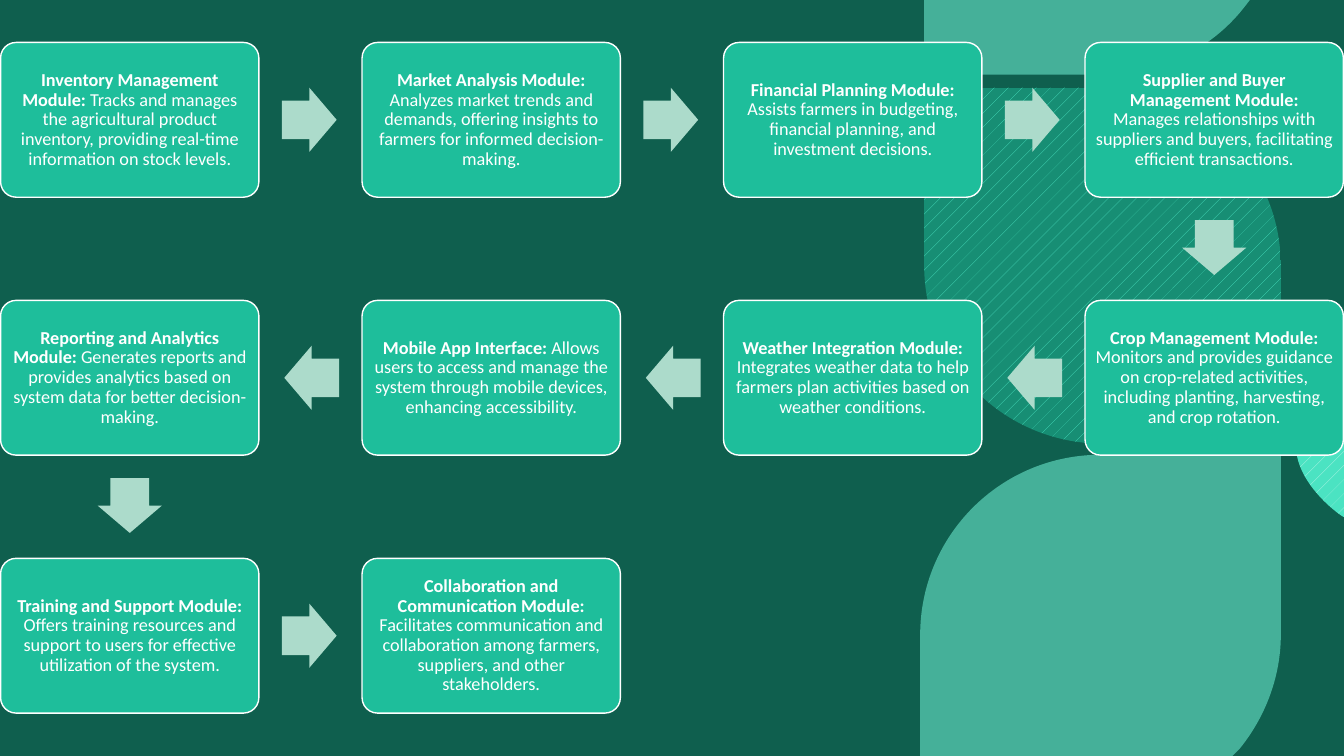
from lxml.etree import SubElement
from pptx import Presentation
from pptx.dml.color import RGBColor
from pptx.enum.dml import MSO_PATTERN
from pptx.enum.shapes import MSO_SHAPE
from pptx.enum.text import MSO_ANCHOR, PP_ALIGN
from pptx.oxml.ns import qn
from pptx.util import Cm, Pt

DARK = RGBColor(0x09, 0x39, 0x2F)
TEAL = RGBColor(0x18, 0x99, 0x7E)
MINT = RGBColor(0x69, 0xE7, 0xCC)
PALE = RGBColor(0xC3, 0xF6, 0xEB)
BRIGHT = RGBColor(0x4B, 0xE3, 0xC2)
DEEP = RGBColor(0x17, 0x8E, 0x74)
BOX = RGBColor(0x1E, 0xBE, 0x9B)
ARROW = RGBColor(0xAC, 0xDB, 0xCB)
WHITE = RGBColor(0xFF, 0xFF, 0xFF)


def add_text(p, text, size=13, bold=False, color=WHITE, font="Calibri"):
    r = p.add_run()
    r.text = text
    r.font.size = Pt(size)
    r.font.bold = bold
    r.font.name = font
    r.font.color.rgb = color


def paint(sp, color, opacity=100):
    sp.shadow.inherit = False
    sp.line.fill.background()
    sp.fill.solid()
    sp.fill.fore_color.rgb = color
    if opacity < 100:
        clr = sp.element.spPr.xpath("./a:solidFill/a:srgbClr")[0]
        SubElement(clr, qn("a:alpha")).set("val", str(opacity * 1000))


prs = Presentation()
prs.slide_width, prs.slide_height = Cm(33.87), Cm(19.05)
s = prs.slides.add_slide(prs.slide_layouts[6])

# Background with a translucent tint
s.background.fill.solid()
s.background.fill.fore_color.rgb = DARK
tint = s.shapes.add_shape(MSO_SHAPE.RECTANGLE, 0, 0, prs.slide_width, prs.slide_height)
paint(tint, TEAL, 40)

# Leaves: two numbers are a corner, six are a Bezier curve (cm)
leaves = [
    ([(23.29, 0), (31.5, 0), (31.32, 0.23),
      (30.51, 1.24, 29.24, 1.88, 27.81, 1.88), (23.29, 1.88)], None),
    ([(27.74, 11.46), (32.28, 11.46), (32.28, 15.98),
      (32.28, 17.07, 31.88, 18.08, 31.24, 18.87), (31.06, 19.05),
      (23.19, 19.05), (23.19, 16), (23.19, 13.49, 25.22, 11.46, 27.74, 11.46)], None),
    ([(33.87, 9.4), (33.87, 13.03), (33.87, 13.06, 32.66, 12.24, 32.66, 11.23),
      (32.66, 10.21, 33.87, 9.4, 33.87, 9.4)], (PALE, BRIGHT)),
    ([(32.28, 11.18), (27.79, 11.18), (25.3, 11.18, 23.29, 9.17, 23.29, 6.68),
      (23.29, 2.21), (27.79, 2.21), (30.25, 2.21, 32.28, 4.22, 32.28, 6.71)],
     (BRIGHT, DEEP)),
]
for outline, pattern in leaves:
    ends = [(Cm(seg[-2]), Cm(seg[-1])) for seg in outline]
    fb = s.shapes.build_freeform(*ends[0])
    fb.add_line_segments(ends[1:], close=True)
    leaf = fb.convert_to_shape()
    # Turn the straight segments of the curves into Bezier segments
    lines = leaf.element.spPr.xpath(".//a:lnTo")
    for line, seg in zip(lines, outline[1:]):
        if len(seg) == 6:
            line.clear()
            line.tag = qn("a:cubicBezTo")
            for x, y in zip(seg[::2], seg[1::2]):
                pt = SubElement(line, qn("a:pt"))
                pt.set("x", str(Cm(x) - leaf.left))
                pt.set("y", str(Cm(y) - leaf.top))
    paint(leaf, MINT, 60)
    if pattern:
        leaf.fill.patterned()
        leaf.fill.pattern = MSO_PATTERN.PERCENT_5
        leaf.fill.fore_color.rgb, leaf.fill.back_color.rgb = pattern

# Modules in reading order of the flow
modules = [
    ("Inventory Management Module:", "Tracks and manages the agricultural product inventory, "
     "providing real-time information on stock levels."),
    ("Market Analysis Module:", "Analyzes market trends and demands, offering insights to "
     "farmers for informed decision-making."),
    ("Financial Planning Module:", "Assists farmers in budgeting, financial planning, and "
     "investment decisions."),
    ("Supplier and Buyer Management Module:", "Manages relationships with suppliers and "
     "buyers, facilitating efficient transactions."),
    ("Crop Management Module:", "Monitors and provides guidance on crop-related activities, "
     "including planting, harvesting, and crop rotation."),
    ("Weather Integration Module:", "Integrates weather data to help farmers plan activities "
     "based on weather conditions."),
    ("Mobile App Interface:", "Allows users to access and manage the system through mobile "
     "devices, enhancing accessibility."),
    ("Reporting and Analytics Module:", "Generates reports and provides analytics based on "
     "system data for better decision-making."),
    ("Training and Support Module:", "Offers training resources and support to users for "
     "effective utilization of the system."),
    ("Collaboration and Communication Module:", "Facilitates communication and collaboration "
     "among farmers, suppliers, and other stakeholders."),
]
COLS = 4
BOX_W, BOX_H = 6.51, 3.9
ARROW_W, ARROW_H = 1.38, 1.62

# Box centres snake to and fro over the grid
centres = []
for i in range(len(modules)):
    row, col = divmod(i, COLS)
    if row % 2:
        col = COLS - 1 - col
    centres.append((3.27 + col * 9.11, 3.02 + row * 6.5))

# Module boxes
for (x, y), (title, detail) in zip(centres, modules):
    sp = s.shapes.add_shape(MSO_SHAPE.ROUNDED_RECTANGLE, Cm(x - BOX_W / 2),
                            Cm(y - BOX_H / 2), Cm(BOX_W), Cm(BOX_H))
    sp.adjustments[0] = 0.1
    paint(sp, BOX)
    sp.line.color.rgb = WHITE
    sp.line.width = Pt(1)
    tf = sp.text_frame
    tf.word_wrap = True
    tf.vertical_anchor = MSO_ANCHOR.MIDDLE
    tf.margin_left = tf.margin_right = tf.margin_top = tf.margin_bottom = Cm(0.13)
    p = tf.paragraphs[0]
    p.alignment = PP_ALIGN.CENTER
    p.line_spacing = 0.9
    add_text(p, title, bold=True)
    add_text(p, " " + detail)

# Arrows between consecutive boxes, just short of the middle of the gap
NUDGE = 0.03
for (x0, y0), (x1, y1) in zip(centres, centres[1:]):
    x, y = (x0 + x1) / 2, (y0 + y1) / 2
    if y1 > y0:
        angle, y = 90, y - NUDGE
    elif x1 > x0:
        angle, x = 0, x - NUDGE
    else:
        angle, x = 180, x + NUDGE
    sp = s.shapes.add_shape(MSO_SHAPE.RIGHT_ARROW, Cm(x - ARROW_W / 2),
                            Cm(y - ARROW_H / 2), Cm(ARROW_W), Cm(ARROW_H))
    sp.adjustments[0], sp.adjustments[1] = 0.6, 0.5
    sp.rotation = angle
    paint(sp, ARROW)

prs.save("out.pptx")
